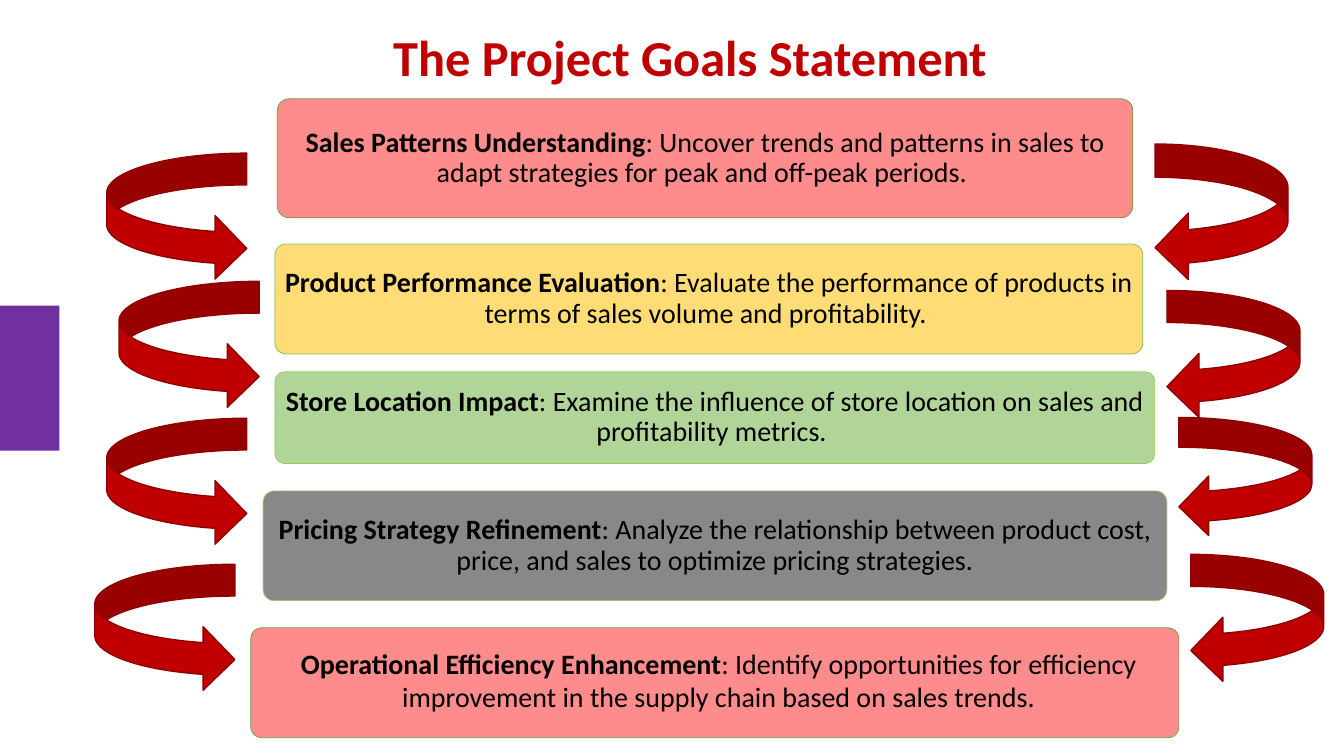
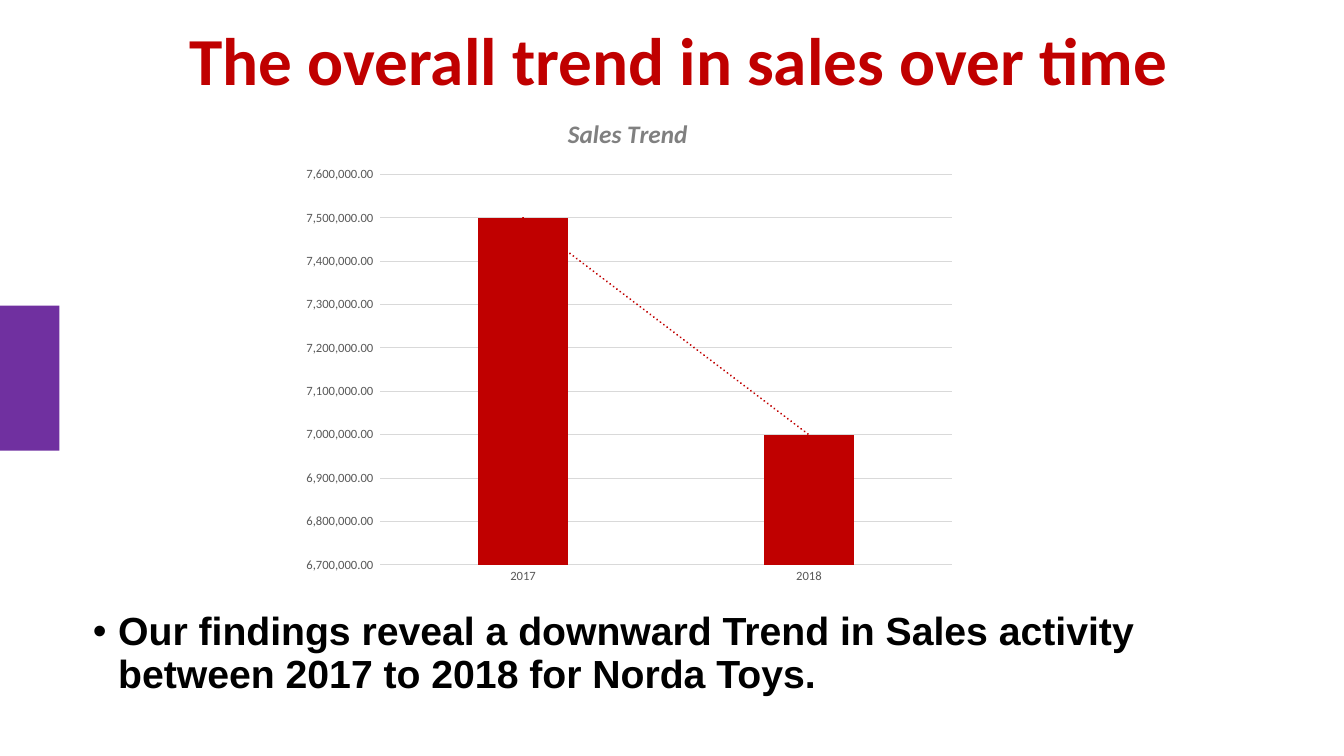
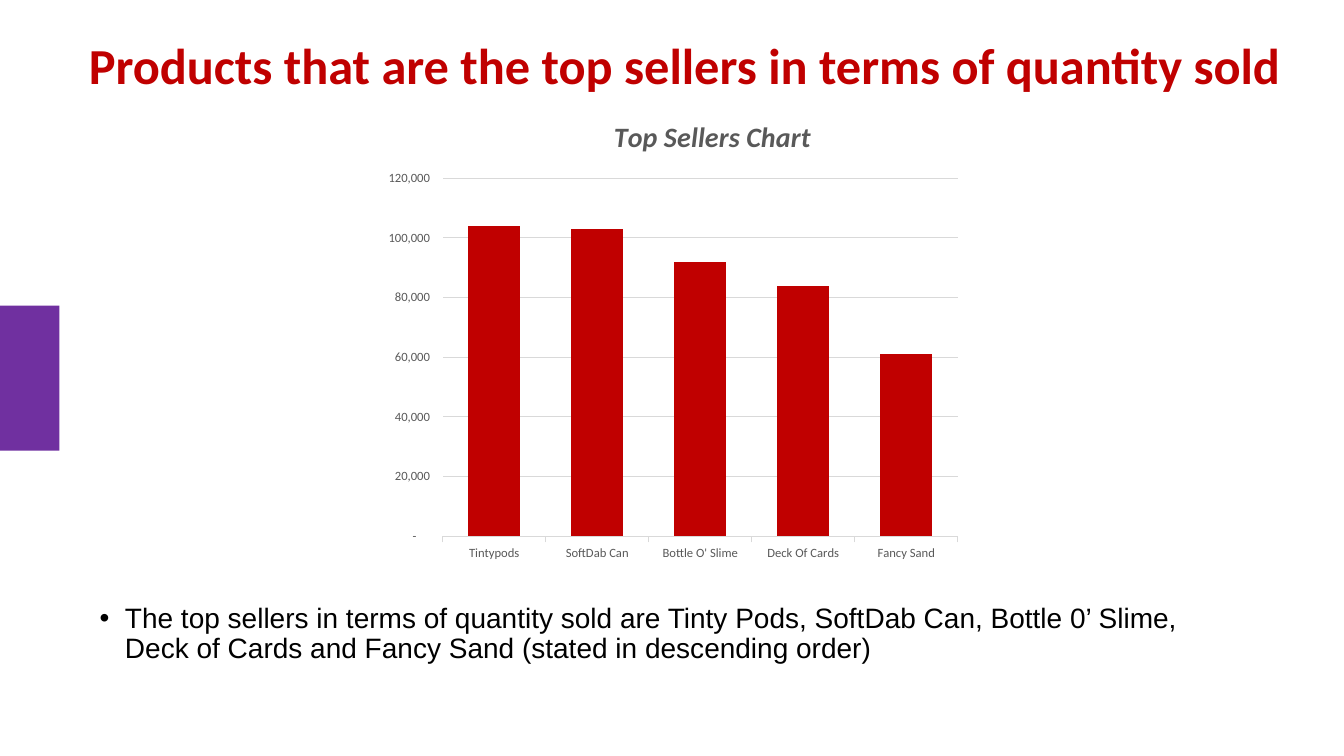
from collections import namedtuple
from dataclasses import dataclass

from lxml import etree
from pptx import Presentation
from pptx.chart.data import CategoryChartData
from pptx.dml.color import RGBColor
from pptx.enum.chart import XL_CHART_TYPE as ChartType, XL_TICK_MARK as Tick
from pptx.enum.shapes import MSO_SHAPE as Preset
from pptx.enum.text import MSO_ANCHOR as Anchor, PP_ALIGN as Align
from pptx.oxml import parse_xml
from pptx.oxml.ns import nsdecls, qn
from pptx.util import Cm, Pt

Box = namedtuple("Box", "left top width height")


@dataclass(frozen=True)
class Theme:
    heading_font: str = "Calibri"
    body_font: str = "Arial"
    red: str = "C00000"
    dark_red: str = "8E0000"
    purple: str = "7030A0"
    black: str = "000000"
    axis_text: str = "595959"
    subtle_text: str = "808080"
    grid: str = "D9D9D9"
    title_size: int = 36
    big_title_size: int = 48
    card_size: int = 20
    axis_size: int = 9
    line_spacing: float = 0.9


THEME = Theme()
SLIDE = Box(0, 0, 33.87, 19.05)
SIDE_BAND = Box(0, 7.7, 1.5, 3.66)


# Shared helpers
def cm(box):
    return [Cm(length) for length in box]


def inside(box, left, top, width, height):
    return Box(box.left + left, box.top + top, width, height)


def apply(target, values):
    for attribute, value in values.items():
        setattr(target, attribute, value)


def style_font(font, size, color, name=THEME.heading_font, bold=False, italic=False):
    apply(font, {"size": Pt(size), "name": name, "bold": bold, "italic": italic})
    font.color.rgb = RGBColor.from_string(color)


def style_line(line, color, width):
    line.color.rgb = RGBColor.from_string(color)
    line.width = Pt(width)


def set_frame(frame, left=0, right=0, bottom=0, anchor=Anchor.MIDDLE):
    apply(frame, {
        "word_wrap": True, "vertical_anchor": anchor,
        "margin_left": Cm(left), "margin_right": Cm(right),
        "margin_top": 0, "margin_bottom": Cm(bottom),
    })
    return frame.paragraphs[0]


def add_run(paragraph, text, **font_values):
    run = paragraph.add_run()
    run.text = text
    style_font(run.font, **font_values)


def add_preset(slide, preset, box, fill, line=None, line_width=1.0):
    shape = slide.shapes.add_shape(preset, *cm(box))
    shape.shadow.inherit = False
    shape.fill.solid()
    shape.fill.fore_color.rgb = RGBColor.from_string(fill)
    if line:
        style_line(shape.line, line, line_width)
    else:
        shape.line.fill.background()
    return shape


# Parts found on every slide
def new_slide(deck, title, title_box, size=THEME.title_size, align=Align.CENTER):
    slide = deck.slides.add_slide(deck.slide_layouts[6])
    add_preset(slide, Preset.RECTANGLE, SIDE_BAND, THEME.purple)
    heading = slide.shapes.add_textbox(*cm(title_box))
    paragraph = set_frame(heading.text_frame)
    apply(paragraph, {"alignment": align, "line_spacing": THEME.line_spacing})
    add_run(paragraph, title, size=size, color=THEME.red, bold=True)
    return slide


def add_finding(slide, box, text, size, bold=False):
    finding = slide.shapes.add_textbox(*cm(box))
    paragraph = set_frame(finding.text_frame, anchor=Anchor.TOP)
    apply(paragraph, {"line_spacing": THEME.line_spacing, "space_before": Pt(10)})
    add_run(paragraph, text, size=size, color=THEME.black,
            name=THEME.body_font, bold=bold)
    # Hanging bullet
    properties = paragraph._p.get_or_add_pPr()
    indent = Cm(0.64)
    properties.set("marL", str(indent))
    properties.set("indent", str(-indent))
    bullet_font = etree.SubElement(properties, qn("a:buFont"))
    bullet_font.set("typeface", THEME.body_font)
    etree.SubElement(properties, qn("a:buChar")).set("char", "•")


# Goals panel: a stack of cards with arrows down both sides
# Each goal: heading, explanation, fill, outline, (left, top, width, height)
GOALS = [
    ("Sales Patterns Understanding",
     ": Uncover trends and patterns in sales to adapt strategies for peak "
     "and off-peak periods. ",
     "FF8080", "669D40", (4.6, 0, 21.56, 3)),
    ("Product Performance Evaluation",
     ": Evaluate the performance of products in terms of sales volume "
     "and profitability. ",
     "FFD966", "7CBE48", (4.54, 3.66, 21.87, 2.77)),
    ("Store Location Impact",
     ": Examine the influence of store location on sales and "
     "profitability metrics. ",
     "A9D18E", "94CE60", (4.54, 6.88, 22.17, 2.31)),
    ("Pricing Strategy Refinement",
     ": Analyze the relationship between product cost, price, and sales "
     "to optimize pricing strategies.",
     "7C7C7C", "ACDD7A", (4.24, 9.88, 22.78, 2.77)),
    ("Operational Efficiency Enhancement",
     ": Identify opportunities for efficiency improvement in the supply "
     "chain based on sales trends.",
     "FF8080", "669D40", (3.93, 13.33, 23.39, 2.77)),
]
CARD_INSETS = {"left": 0.1, "right": 0.1}
LAST_CARD_INSETS = {"left": 1.05, "right": 0.85, "bottom": 0.15}
LEFT_ARROWS = [(0.3, 1.37), (0.61, 4.6), (0.3, 8.05), (0, 11.73)]
RIGHT_ARROWS = [(1.14, 3.45), (4.83, 3.23), (8.03, 3), (11.48, 3.23)]  # top, height


def add_goal_card(slide, box, heading, explanation, fill, outline, last):
    card = add_preset(slide, Preset.ROUNDED_RECTANGLE, box, fill, outline, 0.5)
    card.adjustments[0] = 0.1
    color = card._element.spPr.find(qn("a:solidFill"))[0]
    etree.SubElement(color, qn("a:alpha")).set("val", "90000")
    paragraph = set_frame(card.text_frame, **(LAST_CARD_INSETS if last else CARD_INSETS))
    apply(paragraph, {"alignment": Align.CENTER,
                      "line_spacing": 1.0 if last else THEME.line_spacing})
    for text, bold in ((heading, True), (explanation, False)):
        add_run(paragraph, text, size=THEME.card_size, color=THEME.black, bold=bold)


def add_goals_panel(slide, box):
    for heading, explanation, fill, outline, place in GOALS:
        add_goal_card(slide, inside(box, *place), heading, explanation,
                      fill, outline, last=heading == GOALS[-1][0])
    for left, top in LEFT_ARROWS:
        add_preset(slide, Preset.CURVED_RIGHT_ARROW,
                   inside(box, left, top, 3.53, 3.2), THEME.red, THEME.dark_red)
    for step, (top, height) in enumerate(RIGHT_ARROWS):
        add_preset(slide, Preset.CURVED_LEFT_ARROW,
                   inside(box, 26.72 + 0.3 * step, top, 3.35, height),
                   THEME.red, THEME.dark_red)


# Column charts
def place_part(part, box, lengths, inner=False):
    """Place a chart part by lengths in cm, measured from the chart's corner."""
    target = '<c:layoutTarget val="inner"/>' if inner else ""
    modes = "".join(f'<c:{key}Mode val="edge"/>' for key in "xy")
    sides = (box.width, box.height) * 2
    sizes = "".join(f'<c:{key} val="{length / side:.4f}"/>'
                    for key, length, side in zip("xywh", lengths, sides))
    layout = parse_xml(f'<c:layout {nsdecls("c")}><c:manualLayout>{target}{modes}'
                       f'{sizes}</c:manualLayout></c:layout>')
    for old in part.findall(qn("c:layout")):
        part.remove(old)
    text = part.find(qn("c:tx"))
    if text is None:
        part.insert(0, layout)
    else:
        text.addnext(layout)


def add_trend_line(series):
    trend = parse_xml(
        f'<c:trendline {nsdecls("c", "a")}><c:spPr>'
        f'<a:ln w="{Pt(1.5)}" cap="rnd"><a:solidFill><a:srgbClr val="{THEME.red}"/>'
        '</a:solidFill><a:prstDash val="sysDot"/></a:ln></c:spPr>'
        '<c:trendlineType val="linear"/><c:dispRSqr val="0"/><c:dispEq val="0"/>'
        '</c:trendline>')
    series._element.find(qn("c:cat")).addprevious(trend)


def add_sales_chart(slide, box, title, title_size, title_color, title_at, plot,
                    values, scale, number_format, tick, gap, overlap=0):
    data = CategoryChartData()
    data.categories = list(values)
    data.add_series("Series 1", list(values.values()))
    chart = slide.shapes.add_chart(ChartType.COLUMN_CLUSTERED, *cm(box), data).chart
    chart.has_legend = False
    style_font(chart.font, 10, THEME.black)

    # Title and plot area
    chart.has_title = True
    add_run(chart.chart_title.text_frame.paragraphs[0], title, size=title_size,
            color=title_color, bold=True, italic=True)
    place_part(chart.chart_title._element, box, title_at)
    place_part(chart._chartSpace.chart.plotArea, box, plot, inner=True)

    # Columns
    columns = chart.plots[0]
    apply(columns, {"gap_width": gap, "overlap": overlap, "vary_by_categories": False})
    series = columns.series[0]
    series.format.fill.solid()
    series.format.fill.fore_color.rgb = RGBColor.from_string(THEME.red)

    # Axes
    for axis in (chart.category_axis, chart.value_axis):
        apply(axis, {"major_tick_mark": tick, "minor_tick_mark": Tick.NONE})
        style_font(axis.tick_labels.font, THEME.axis_size, THEME.axis_text)
    style_line(chart.category_axis.format.line, THEME.grid, 0.75)
    amounts = chart.value_axis
    apply(amounts, dict(zip(("minimum_scale", "maximum_scale", "major_unit"), scale)))
    apply(amounts.tick_labels, {"number_format": number_format,
                                "number_format_is_linked": False})
    amounts.format.line.fill.background()
    style_line(amounts.major_gridlines.format.line, THEME.grid, 0.75)
    return series


# Slides
def goals_slide(deck):
    slide = new_slide(deck, "The Project Goals Statement",
                      Box(9.91, 0.6, 15.29, 1.83), align=Align.LEFT)
    add_goals_panel(slide, Box(2.39, 2.49, 30.96, 16.1))


def trend_slide(deck):
    slide = new_slide(deck, "The overall trend in sales over time",
                      Box(2.5, 1.02, 29.21, 1.17), THEME.big_title_size)
    add_finding(slide, Box(2.34, 15.42, 29.21, 3.15),
                "Our findings reveal a downward Trend in Sales activity between "
                "2017 to 2018 for Norda Toys.", 28, bold=True)
    sales = add_sales_chart(
        slide, Box(7.32, 2.44, 17.02, 12.52), "Sales Trend", 18, THEME.subtle_text,
        title_at=(6.88, 0.37), plot=(2.26, 1.96, 14.41, 9.84),
        values={"2017": 7500000, "2018": 7000000},
        scale=(6700000, 7600000, 100000),
        number_format='_(* #,##0.00_);_(* \\(#,##0.00\\);_(* "-"??_);_(@_)',
        tick=Tick.NONE, gap=219, overlap=-27)
    add_trend_line(sales)


def top_sellers_slide(deck):
    slide = new_slide(deck, "Products that are the top sellers in terms of quantity sold",
                      Box(1.15, 1.02, 32.23, 1.42))
    add_finding(slide, Box(2.51, 15.23, 28.4, 2.92),
                "The top sellers in terms of quantity sold are Tinty Pods, SoftDab Can, "
                "Bottle 0’ Slime, Deck of Cards and Fancy Sand "
                "(stated in descending order)", 20)
    add_sales_chart(
        slide, Box(7.37, 2.44, 21.18, 11.73), "Top Sellers Chart", 20, THEME.axis_text,
        title_at=(7.97, 0.38), plot=(3.79, 2.05, 12.98, 9.03),
        values={"Tintypods": 104000, "SoftDab Can": 103000, "Bottle O' Slime": 92000,
                "Deck Of Cards": 84000, "Fancy Sand": 61000},
        scale=(0, 120000, 20000),
        number_format='_-* #,##0_-;\\-* #,##0_-;_-* "-"??_-;_-@_-',
        tick=Tick.OUTSIDE, gap=100)


def main():
    deck = Presentation()
    apply(deck, {"slide_width": Cm(SLIDE.width), "slide_height": Cm(SLIDE.height)})
    for build in (goals_slide, trend_slide, top_sellers_slide):
        build(deck)
    deck.save("out.pptx")


if __name__ == "__main__":
    main()
